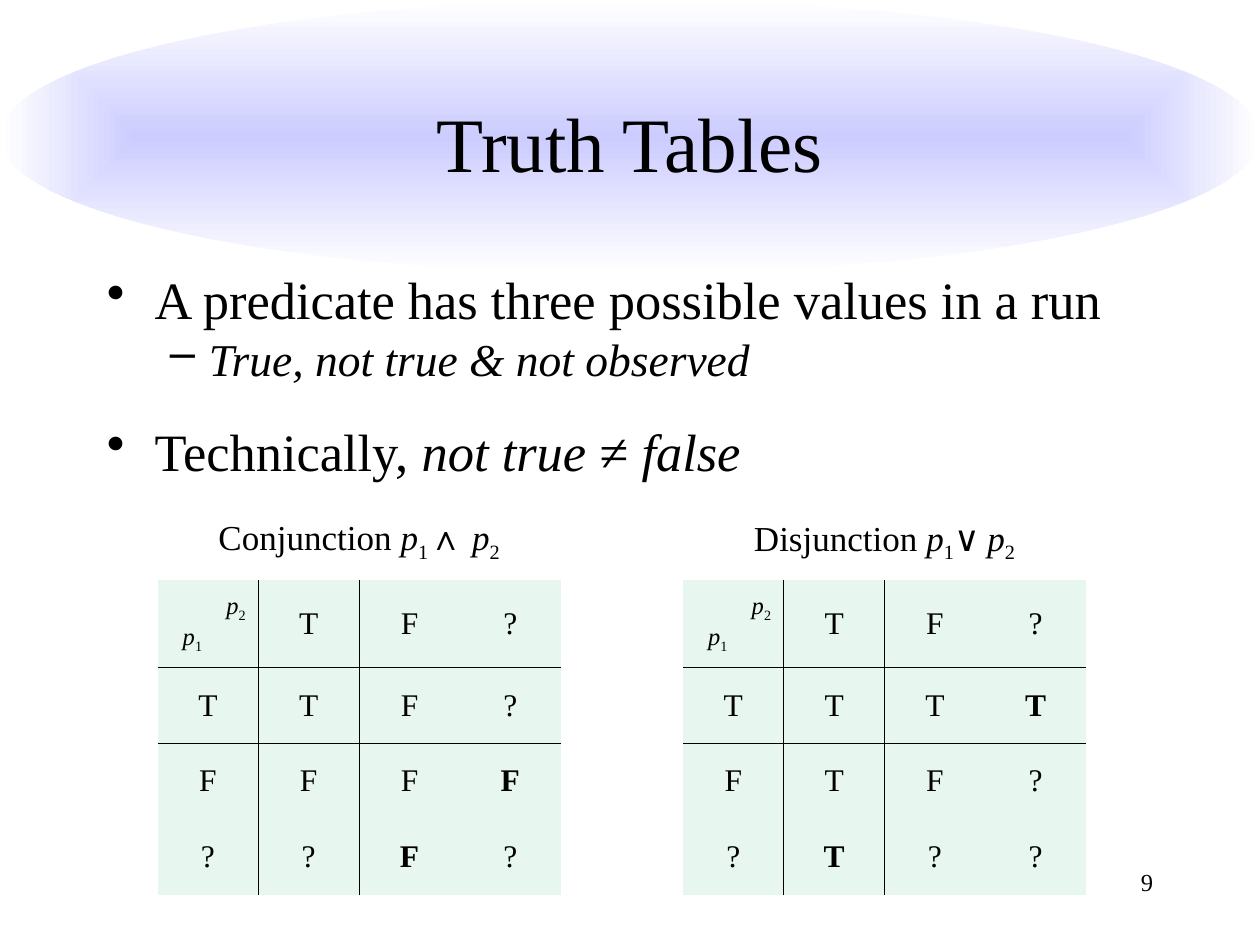
from lxml import etree
from pptx import Presentation
from pptx.dml.color import RGBColor
from pptx.enum.shapes import MSO_SHAPE
from pptx.enum.text import MSO_ANCHOR, PP_ALIGN
from pptx.oxml.ns import qn
from pptx.util import Inches, Pt

OVAL = MSO_SHAPE.OVAL
MIDDLE = MSO_ANCHOR.MIDDLE
LEFT, CENTER, RIGHT = PP_ALIGN.LEFT, PP_ALIGN.CENTER, PP_ALIGN.RIGHT
COLORS = {"text": "000000", "banner": "CCCCFF", "banner_edge": "FFFFFF", "cell": "E7F6EF"}
FONT = "Times New Roman"
NO_STYLE_NO_GRID = "{2D5ABB26-0587-4C30-8999-92F81FD0307C}"


def write_text(paragraph, runs, size, align=LEFT, space_before=0, line_spacing=1.0,
               indent=0, hanging=0, bullet=None):
    """Fill a paragraph with (text, style) runs; style holds bold, italic, sub or Cambria."""
    paragraph.alignment = align
    paragraph.space_before = Pt(space_before)
    paragraph.line_spacing = line_spacing
    properties = paragraph._p.get_or_add_pPr()
    properties.set("marL", str(Inches(indent)))
    properties.set("indent", str(Inches(-hanging)))
    if bullet:
        etree.SubElement(properties, qn("a:buChar"), char=bullet)
    for text, style in runs:
        run = paragraph.add_run()
        run.text = text
        font = run.font
        font.name = "Cambria" if style == "Cambria" else FONT
        font.size = Pt(size)
        font.color.rgb = RGBColor.from_string(COLORS["text"])
        font.bold = style == "bold"
        font.italic = style == "italic"
        if style == "sub":
            font._element.set("baseline", "-25000")


def add_border(cell, side):
    properties = cell._tc.get_or_add_tcPr()
    line = etree.Element(qn(f"a:ln{side}"), w=str(Pt(0.45)))
    fill = etree.SubElement(line, qn("a:solidFill"))
    etree.SubElement(fill, qn("a:srgbClr"), val=COLORS["text"])
    # Borders come before the fill, in the order L, R, T, B
    borders = [child for child in properties if child.tag.startswith(qn("a:ln"))]
    properties.insert(len(borders), line)


presentation = Presentation()
presentation.slide_width, presentation.slide_height = Inches(10), Inches(7.5)
slide = presentation.slides.add_slide(presentation.slide_layouts[6])

# Banner
banner = slide.shapes.add_shape(OVAL, Inches(0), Inches(0), Inches(10), Inches(2.17))
banner.shadow.inherit = False
banner.line.fill.background()
banner.fill.gradient()
for stop, name in zip(banner.fill.gradient_stops, ("banner", "banner_edge")):
    stop.color.rgb = RGBColor.from_string(COLORS[name])
gradient = banner._element.spPr.find(qn("a:gradFill"))
gradient.remove(gradient.find(qn("a:lin")))
rectangular = etree.SubElement(gradient, qn("a:path"), path="rect")
etree.SubElement(rectangular, qn("a:fillToRect"), l="50000", t="50000", r="50000", b="50000")

# Title, bullets and slide number
title = slide.shapes.add_textbox(Inches(0.75), Inches(0.5), Inches(8.5), Inches(1.25))
title.text_frame.word_wrap = True
title.text_frame.vertical_anchor = MIDDLE
write_text(title.text_frame.paragraphs[0], [("Truth Tables", "")], 44, align=CENTER)

main_level = {"size": 30, "indent": 0.38, "hanging": 0.38, "bullet": "•"}
sub_level = {"size": 26, "indent": 0.81, "hanging": 0.31, "bullet": "–"}
bullets = [
    ([("A predicate has three possible values in a run", "")], 0, main_level),
    ([("True, not true & not observed", "italic")], 6.5, sub_level),
    ([("Technically, ", ""), ("not true ", "italic"), ("≠ ", ""), ("false", "italic")],
     26.2, main_level),
]
body = slide.shapes.add_textbox(Inches(0.75), Inches(2.17), Inches(8.5), Inches(1.75))
body.text_frame.word_wrap = True
for index, (runs, space_before, level) in enumerate(bullets):
    paragraph = body.text_frame.add_paragraph() if index else body.text_frame.paragraphs[0]
    write_text(paragraph, runs, space_before=space_before, line_spacing=0.8, **level)

number = slide.shapes.add_textbox(Inches(7.17), Inches(6.83), Inches(2.08), Inches(0.5))
number.text_frame.word_wrap = True
write_text(number.text_frame.paragraphs[0], [("9", "")], 14, align=RIGHT)

# Truth tables; a star marks a bold value
P1 = [("p", "italic"), ("1", "sub")]
P2 = [("p", "italic"), ("2", "sub")]
ROW_HEIGHTS = [0.6, 0.7, 0.6, 0.6, 0.6]
truth_tables = [
    (1.25, [("Conjunction ", ""), *P1, ("∧ ", ""), *P2],
     [["T", "F", "?"], ["F", "F", "F*"], ["?", "F*", "?"]]),
    (5.42, [("Disjunction ", ""), *P1, ("∨ ", "Cambria"), *P2],
     [["T", "T", "T*"], ["T", "F", "?"], ["T*", "?", "?"]]),
]
operands = ["T", "F", "?"]

for left, caption, results in truth_tables:
    frame = slide.shapes.add_table(5, 4, Inches(left), Inches(4), Inches(3.2), Inches(3.1))
    table = frame.table
    table.first_row = table.horz_banding = False
    table._tbl.tblPr.find(qn("a:tableStyleId")).text = NO_STYLE_NO_GRID
    for column in table.columns:
        column.width = Inches(0.8)
    for row, height in zip(table.rows, ROW_HEIGHTS):
        row.height = Inches(height)

    heading = table.cell(0, 0)
    heading.merge(table.cell(0, 3))
    heading.vertical_anchor = MIDDLE
    write_text(heading.text_frame.paragraphs[0], caption, 20, align=CENTER)

    grid = [[""] + operands] + [[name] + values for name, values in zip(operands, results)]
    for row_index, values in enumerate(grid):
        for column_index, value in enumerate(values):
            cell = table.cell(row_index + 1, column_index)
            cell.vertical_anchor = MIDDLE
            cell.fill.solid()
            cell.fill.fore_color.rgb = RGBColor.from_string(COLORS["cell"])
            sides = {"L": column_index == 1, "R": column_index == 0,
                     "T": row_index == 1, "B": row_index == 0}
            for side, shown in sides.items():
                if shown:
                    add_border(cell, side)
            paragraph = cell.text_frame.paragraphs[0]
            if value:
                style = "bold" if value.endswith("*") else ""
                write_text(paragraph, [(value.rstrip("*"), style)], 18, align=CENTER)
            else:
                write_text(paragraph, P2, 14, align=RIGHT)
                write_text(cell.text_frame.add_paragraph(), P1, 14, indent=0.1)

presentation.save("out.pptx")
